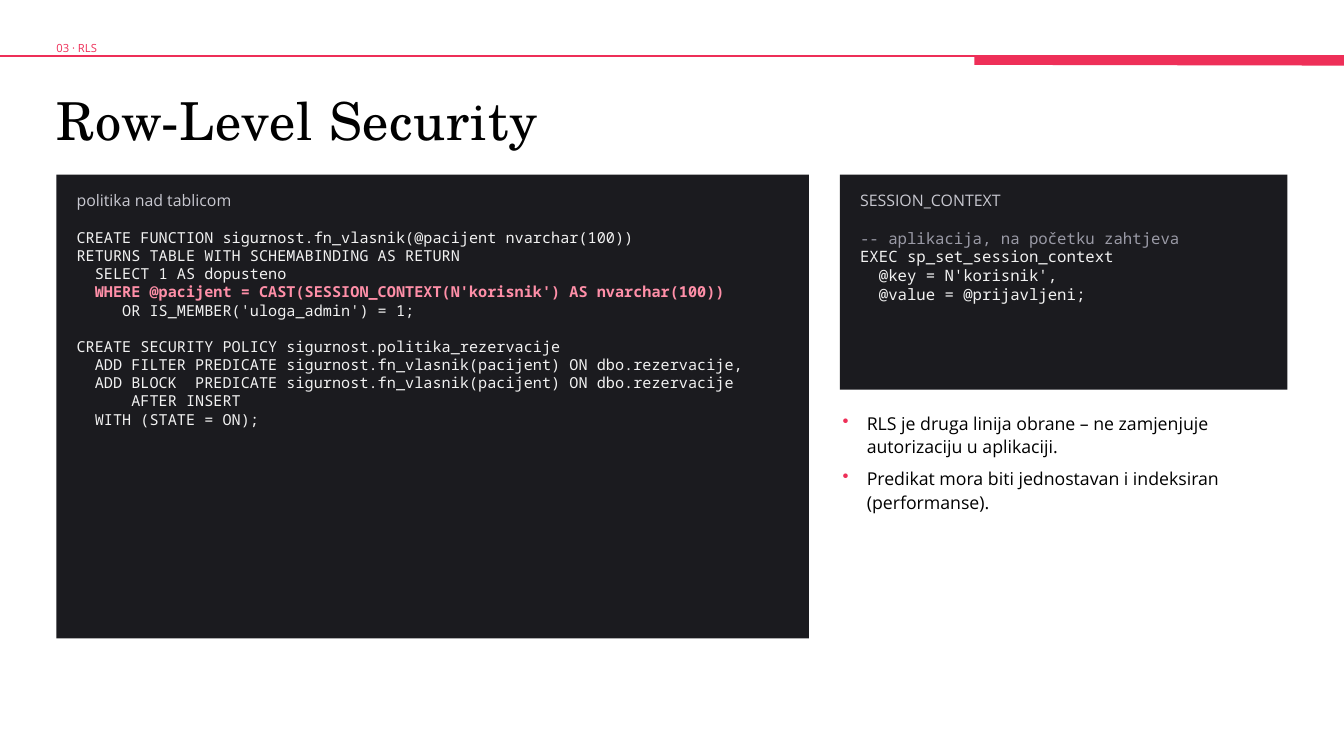
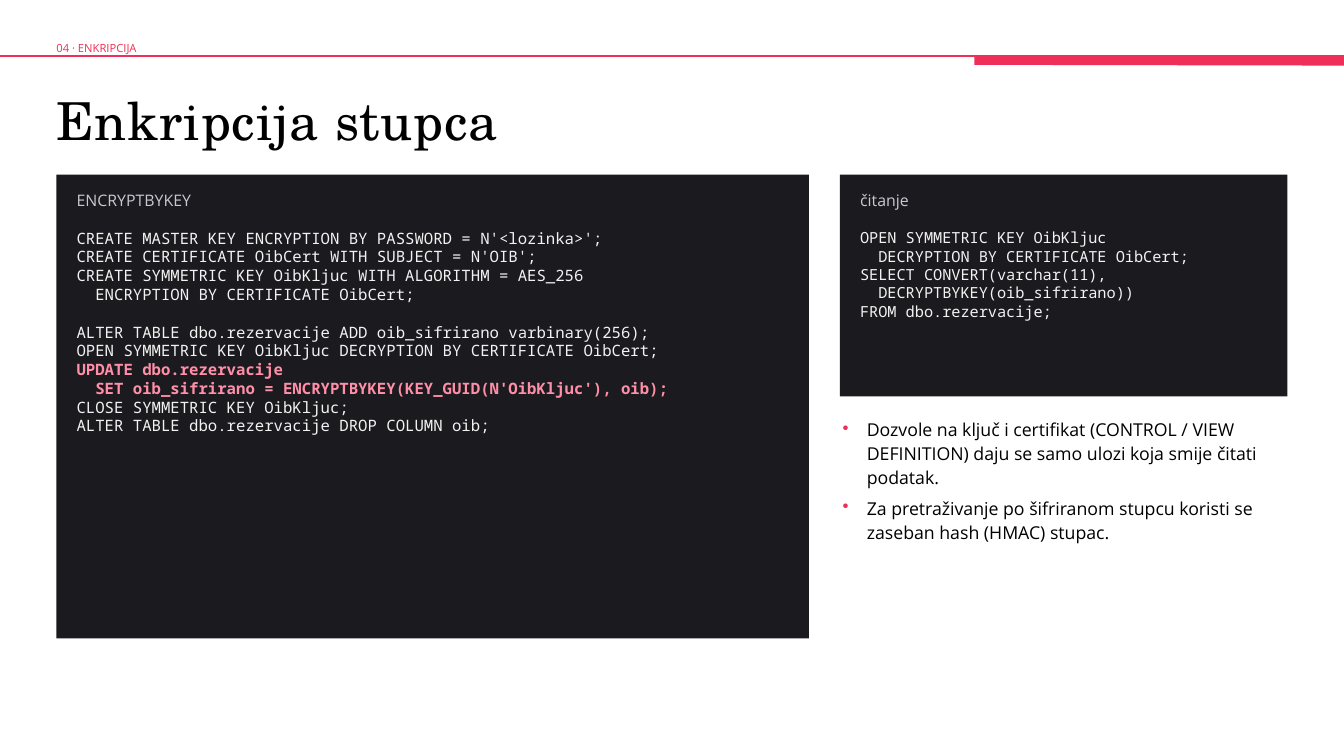
import dataclasses
import pptx
import pptx.util
import pptx.dml.color
import pptx.enum.shapes
import pptx.enum.text
import pptx.oxml
import pptx.oxml.ns

Pt = pptx.util.Pt


@dataclasses.dataclass(frozen=True)
class Theme:
    page: str = "FFFFFF"
    ink: str = "000000"
    rose: str = "EE2F58"
    panel: str = "1B1B1F"
    label: str = "C8C8D0"
    code: str = "F2F2F2"
    note: str = "9A9AA6"
    glow: str = "FF8FA8"
    serif: str = "TeX Gyre Schola"
    sans: str = "Open Sans"
    mono: str = "Noto Sans Mono"
    title_size: float = 28
    tag_size: float = 6
    label_size: float = 8.5
    point_size: float = 9.5
    lead: float = 1.12
    gap: float = 4


T = Theme()
WIDE, HIGH = 720, 405
LEFT, RIGHT = 30.24, 450
TOP, LOW = 93.6, 342
PAD = 10.8


def tint(code):
    return pptx.dml.color.RGBColor.from_string(code)


def add_bullet(para):
    props = para._p.get_or_add_pPr()
    props.set("marL", str(Pt(14.4)))
    props.set("indent", str(-Pt(12.96)))
    space = pptx.oxml.ns.nsdecls("a")
    for body in (
        f'<a:buClr {space}><a:srgbClr val="{T.rose}"/></a:buClr>',
        f'<a:buChar {space} char="•"/>',
    ):
        props.append(pptx.oxml.parse_xml(body))


def add_text(slide, box, lines, *, font, size, color, lead=None, after=0,
             bullet=False, track=0, hot=(), dim=()):
    frame = slide.shapes.add_textbox(*map(Pt, box)).text_frame
    frame.word_wrap = True
    frame.auto_size = pptx.enum.text.MSO_AUTO_SIZE.NONE
    frame.margin_left = frame.margin_right = 0
    frame.margin_top = frame.margin_bottom = 0
    para, skip = None, False
    for row, line in enumerate(lines):
        if not line:
            skip = True
            continue
        para = frame.add_paragraph() if para else frame.paragraphs[0]
        if lead:
            para.line_spacing = lead
        if skip:
            para.space_before = Pt(size * 1.2)
            skip = False
        para.space_after = Pt(after)
        if bullet:
            add_bullet(para)
        run = para.add_run()
        run.text = line
        run.font.name = font
        run.font.size = Pt(size)
        run.font.bold = row in hot
        shade = T.glow if row in hot else T.note if row in dim else color
        run.font.color.rgb = tint(shade)
        if track:
            run.font._element.set("spc", str(int(track * 100)))


def add_line(slide, start, end, width):
    kind = pptx.enum.shapes.MSO_CONNECTOR.STRAIGHT
    line = slide.shapes.add_connector(kind, *map(Pt, start + end))
    line.line.color.rgb = tint(T.rose)
    line.line.width = Pt(width)
    line._element.spPr.append(pptx.oxml.parse_xml(
        f'<a:effectLst {pptx.oxml.ns.nsdecls("a")}/>'))


def add_head(slide, tag, title):
    slide.background.fill.solid()
    slide.background.fill.fore_color.rgb = tint(T.page)
    add_line(slide, (WIDE, 30.1), (0, 30.1), 1)
    add_line(slide, (WIDE, 32.9), (522, 32.5), 4.5)
    add_text(slide, (LEFT, 47.5, 626.4, 30.24), [title], font=T.serif,
             size=T.title_size, color=T.ink, track=0.5)
    add_text(slide, (LEFT, 17.28, 626.4, 10.8), [tag], font=T.sans,
             size=T.tag_size, color=T.rose, lead=Pt(12))


def add_panel(slide, box, label, code, **style):
    left, top, width, height = box
    kind = pptx.enum.shapes.MSO_SHAPE.RECTANGLE
    panel = slide.shapes.add_shape(kind, *map(Pt, box))
    panel.shadow.inherit = False
    panel.fill.solid()
    panel.fill.fore_color.rgb = tint(T.panel)
    panel.line.fill.background()
    inner = width - 2 * PAD
    add_text(slide, (left + PAD, top + 7.2, inner, 15.84), [label],
             font=T.sans, size=T.label_size, color=T.label,
             lead=T.lead, after=T.gap)
    add_text(slide, (left + PAD, top + 28.8, inner, height - 34.5),
             code.strip("\n").split("\n"), font=T.mono, color=T.code, **style)


def add_points(slide, box, points):
    add_text(slide, box, points, font=T.sans, size=T.point_size, color=T.ink,
             lead=T.lead, after=T.gap, bullet=True)


def add_page(deck, tag, title, main, side, depth, points):
    slide = deck.slides.add_slide(deck.slide_layouts[6])
    add_head(slide, tag, title)
    add_panel(slide, (LEFT, TOP, 403.2, LOW - TOP), **main)
    width = WIDE - LEFT - RIGHT
    add_panel(slide, (RIGHT, TOP, width, depth), **side)
    base = TOP + depth + PAD
    add_points(slide, (RIGHT, base, width, LOW - base), points)


POLICY = """
CREATE FUNCTION sigurnost.fn_vlasnik(@pacijent nvarchar(100))
RETURNS TABLE WITH SCHEMABINDING AS RETURN
  SELECT 1 AS dopusteno
  WHERE @pacijent = CAST(SESSION_CONTEXT(N'korisnik') AS nvarchar(100))
     OR IS_MEMBER('uloga_admin') = 1;

CREATE SECURITY POLICY sigurnost.politika_rezervacije
  ADD FILTER PREDICATE sigurnost.fn_vlasnik(pacijent) ON dbo.rezervacije,
  ADD BLOCK  PREDICATE sigurnost.fn_vlasnik(pacijent) ON dbo.rezervacije
      AFTER INSERT
  WITH (STATE = ON);
"""

CONTEXT = """
-- aplikacija, na početku zahtjeva
EXEC sp_set_session_context
  @key = N'korisnik',
  @value = @prijavljeni;
"""

CRYPT = """
CREATE MASTER KEY ENCRYPTION BY PASSWORD = N'<lozinka>';
CREATE CERTIFICATE OibCert WITH SUBJECT = N'OIB';
CREATE SYMMETRIC KEY OibKljuc WITH ALGORITHM = AES_256
  ENCRYPTION BY CERTIFICATE OibCert;

ALTER TABLE dbo.rezervacije ADD oib_sifrirano varbinary(256);
OPEN SYMMETRIC KEY OibKljuc DECRYPTION BY CERTIFICATE OibCert;
UPDATE dbo.rezervacije
  SET oib_sifrirano = ENCRYPTBYKEY(KEY_GUID(N'OibKljuc'), oib);
CLOSE SYMMETRIC KEY OibKljuc;
ALTER TABLE dbo.rezervacije DROP COLUMN oib;
"""

READ = """
OPEN SYMMETRIC KEY OibKljuc
  DECRYPTION BY CERTIFICATE OibCert;
SELECT CONVERT(varchar(11),
  DECRYPTBYKEY(oib_sifrirano))
FROM dbo.rezervacije;
"""


def main():
    deck = pptx.Presentation()
    deck.slide_width, deck.slide_height = Pt(WIDE), Pt(HIGH)
    add_page(
        deck, "03 · RLS", "Row-Level Security",
        main=dict(label="politika nad tablicom", code=POLICY,
                  size=8.1, hot=(3,)),
        side=dict(label="SESSION_CONTEXT", code=CONTEXT, size=8.4, dim=(0,)),
        depth=115.2,
        points=[
            "RLS je druga linija obrane – ne zamjenjuje autorizaciju"
            " u aplikaciji.",
            "Predikat mora biti jednostavan i indeksiran (performanse).",
        ],
    )
    add_page(
        deck, "04 · ENKRIPCIJA", "Enkripcija stupca",
        main=dict(label="ENCRYPTBYKEY", code=CRYPT, size=8.4, hot=(7, 8)),
        side=dict(label="čitanje", code=READ, size=8.2),
        depth=118.8,
        points=[
            "Dozvole na ključ i certifikat (CONTROL / VIEW DEFINITION)"
            " daju se samo ulozi koja smije čitati podatak.",
            "Za pretraživanje po šifriranom stupcu koristi se zaseban"
            " hash (HMAC) stupac.",
        ],
    )
    deck.save("out.pptx")


if __name__ == "__main__":
    main()
